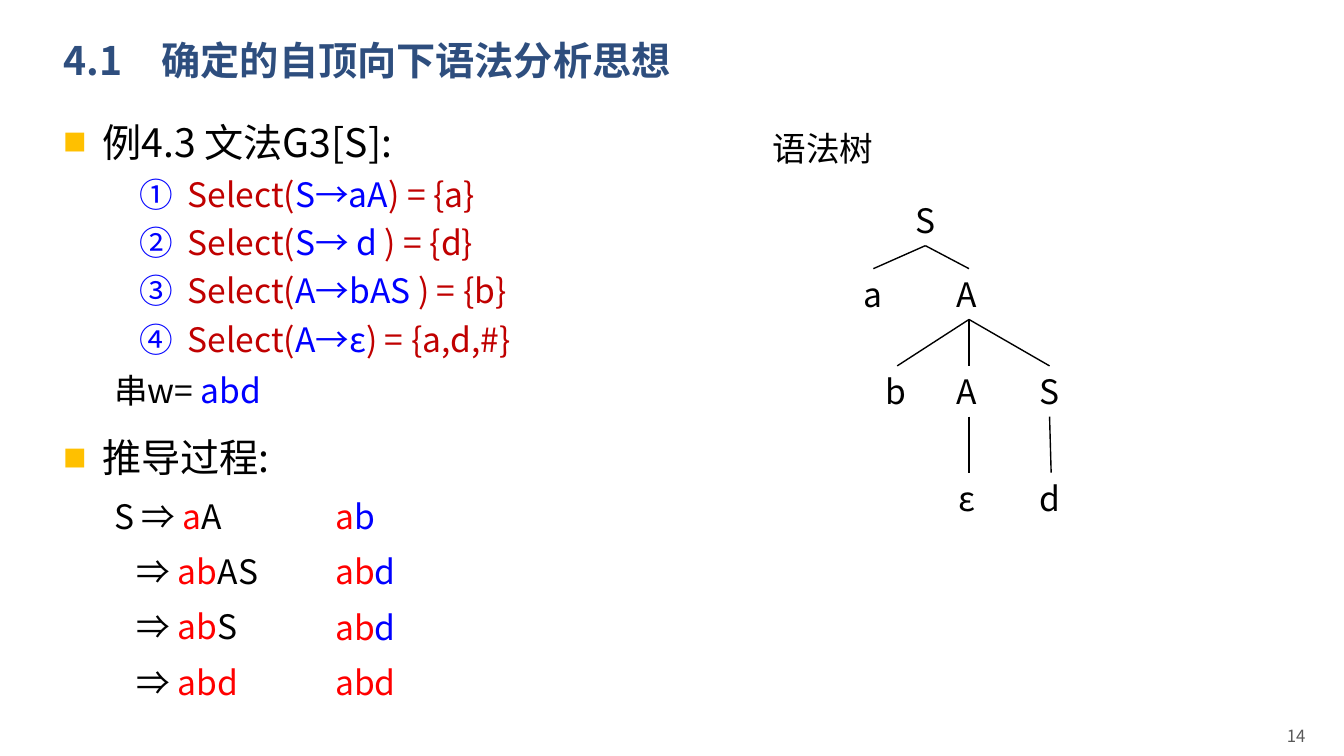
"""Build the lecture slide on deterministic top-down parsing."""
from dataclasses import dataclass

from lxml import etree
from pptx import Presentation
from pptx.dml.color import RGBColor
from pptx.enum import shapes, text
from pptx.oxml import ns
from pptx.util import Cm, Pt

FONT = "Noto Sans CJK SC"
COLORS = {
    "title": "2E4E7E", "black": "000000", "blue": "0000FF", "red": "FF0000",
    "dark_red": "C00000", "gold": "FFC000", "grey": "595959",
}
SQUARE = (("buSzPct", {"val": "60000"}), ("buFont", {"typeface": FONT}),
          ("buChar", {"char": "■"}))
CIRCLED = (("buFont", {"typeface": FONT}), ("buAutoNum", {"type": "circleNumDbPlain"}))


@dataclass(frozen=True)
class Style:
    """Paragraph look; lengths are in centimetres and sizes in points."""
    margin: float = 0
    indent: float = 0
    before: float = 0
    size: int = 24
    bullet: tuple = ()
    bullet_color: str = "black"


@dataclass(frozen=True)
class Line:
    """Paragraph made of (text, colour) spans."""
    spans: tuple
    style: Style = Style()


@dataclass(frozen=True)
class Node:
    """Parse tree node, placed by its centre and top; parent is a list index."""
    label: str
    center: float
    top: float
    width: float
    parent: int = -1


HEADING = Style(0.97, -0.97, 10, 28, SQUARE, "gold")
FIRST_HEADING = Style(0.97, -0.97, 0, 28, SQUARE, "gold")
RULE = Style(3.12, -1.22, 0, 24, CIRCLED, "blue")
STRING = Style(1.27, before=2)
START = Style(1.27, before=5)
STEP = Style(1.84, before=5)
MATCH = Style(before=5)

RULES = (("S→aA", ") = {a}"), ("S→ d ", ") = {d}"),
         ("A→bAS ", ") = {b}"), ("A→ε", ") = {a,d,#}"))
STEPS = (("ab", "AS"), ("ab", "S"), ("abd", ""))
MATCHES = (("a", "b"), ("ab", "d"), ("ab", "d"), ("abd", ""))

BODY = [
    Line((("例4.3 文法G3[S]:", "black"),), FIRST_HEADING),
    *(Line((("Select(", "dark_red"), (rule, "blue"), (result, "dark_red")), RULE)
      for rule, result in RULES),
    Line((("串w= ", "black"), ("abd", "blue")), STRING),
    Line((("推导过程:", "black"),), HEADING),
    Line((("S ⇒ ", "black"), ("a", "red"), ("A", "black")), START),
    *(Line((("⇒ ", "black"), (done, "red"), (rest, "black")), STEP)
      for done, rest in STEPS),
]
MATCHED = [
    Line(((done, "red"), (ahead, "blue")), MATCH if row else Style())
    for row, (done, ahead) in enumerate(MATCHES)
]
TREE = [
    Node("S", 23.32, 4.91, 1.02),
    Node("a", 22.01, 6.77, 1.02, 0),
    Node("A", 24.42, 6.77, 1.12, 0),
    Node("b", 22.61, 9.22, 1.07, 2),
    Node("A", 24.42, 9.22, 1.12, 2),
    Node("S", 26.45, 9.22, 1.02, 2),
    Node("ε", 24.42, 11.91, 1.04, 4),
    Node("d", 26.49, 11.91, 1.07, 5),
]


def format_span(span, size: int, color: str, font: str = FONT, bold: bool = False) -> None:
    """Set the font of one run for Latin and East Asian text."""
    span.font.size = Pt(size)
    span.font.bold = bold
    span.font.color.rgb = RGBColor.from_string(COLORS[color])
    span.font.name = font
    etree.SubElement(span.font._element, ns.qn("a:ea"), typeface=FONT)


def format_para(para, style: Style) -> None:
    """Set spacing, indents and bullet of a paragraph."""
    para.line_spacing = 1.2
    para.space_before = Pt(style.before)
    props = para._p.get_or_add_pPr()
    props.set("marL", str(Cm(style.margin)))
    props.set("indent", str(Cm(style.indent)))
    if style.bullet:
        color = etree.SubElement(props, ns.qn("a:buClr"))
        etree.SubElement(color, ns.qn("a:srgbClr"), val=COLORS[style.bullet_color])
        for tag, attributes in style.bullet:
            etree.SubElement(props, ns.qn(f"a:{tag}"), attributes)


def add_lines(page, lines: list[Line], left: float, top: float,
              width: float, height: float) -> None:
    """Add a wrapping text box with coloured paragraphs."""
    box = page.shapes.add_textbox(Cm(left), Cm(top), Cm(width), Cm(height))
    box.text_frame.word_wrap = True
    for index, line in enumerate(lines):
        para = box.text_frame.add_paragraph() if index else box.text_frame.paragraphs[0]
        format_para(para, line.style)
        for words, color in line.spans:
            if words:
                span = para.add_run()
                span.text = words
                format_span(span, line.style.size, color)


def add_label(page, words: str, left: float, top: float, width: float, font: str = FONT):
    """Add a one-line label that fits its text."""
    box = page.shapes.add_textbox(Cm(left), Cm(top), Cm(width), Cm(1.28))
    box.text_frame.text = words
    box.text_frame.word_wrap = False
    box.text_frame.auto_size = text.MSO_AUTO_SIZE.SHAPE_TO_FIT_TEXT
    format_span(box.text_frame.paragraphs[0].runs[0], 24, "black", font)
    return box


def add_tree(page, nodes: list[Node]) -> None:
    """Draw the tree nodes and join each one to its parent."""
    boxes = [add_label(page, node.label, node.center - node.width / 2, node.top, node.width)
             for node in nodes]
    for node, box in zip(nodes, boxes):
        if node.parent < 0:
            continue
        branch = page.shapes.add_connector(shapes.MSO_CONNECTOR.STRAIGHT, 0, 0, 0, 0)
        branch.begin_connect(boxes[node.parent], 2)
        branch.end_connect(box, 0)
        branch.line.width = Pt(1)
        branch.line.color.rgb = RGBColor.from_string(COLORS["black"])
        etree.SubElement(branch._element.spPr, ns.qn("a:effectLst"))


def add_title(page, words: str) -> None:
    """Place and format the title placeholder."""
    title = page.shapes.title
    title.left, title.top, title.width, title.height = Cm(1.35), Cm(0.71), Cm(20.93), Cm(1.73)
    title.text_frame.text = words
    title.text_frame.vertical_anchor = text.MSO_ANCHOR.MIDDLE
    para = title.text_frame.paragraphs[0]
    para.alignment = text.PP_ALIGN.LEFT
    para.line_spacing = 0.9
    format_span(para.runs[0], 28, "title", bold=True)


def add_page_number(page, number: str) -> None:
    """Add the page number at the lower right."""
    box = page.shapes.add_textbox(Cm(23.27), Cm(18.03), Cm(9.88), Cm(1.02))
    box.text_frame.text = number
    box.text_frame.word_wrap = True
    box.text_frame.vertical_anchor = text.MSO_ANCHOR.MIDDLE
    para = box.text_frame.paragraphs[0]
    para.alignment = text.PP_ALIGN.RIGHT
    format_span(para.runs[0], 12, "grey")


def main() -> None:
    """Build and save the deck."""
    deck = Presentation()
    deck.slide_width, deck.slide_height = Cm(33.87), Cm(19.05)
    page = deck.slides.add_slide(deck.slide_layouts[5])
    add_title(page, "4.1　确定的自顶向下语法分析思想")
    add_lines(page, BODY, 1.36, 2.62, 17.4, 15.65)
    add_lines(page, MATCHED, 8.2, 12.17, 3, 6)
    add_page_number(page, "14")
    add_label(page, "语法树", 19.22, 3.1, 3.07, "Roboto")
    add_tree(page, TREE)
    deck.save("out.pptx")


if __name__ == "__main__":
    main()
